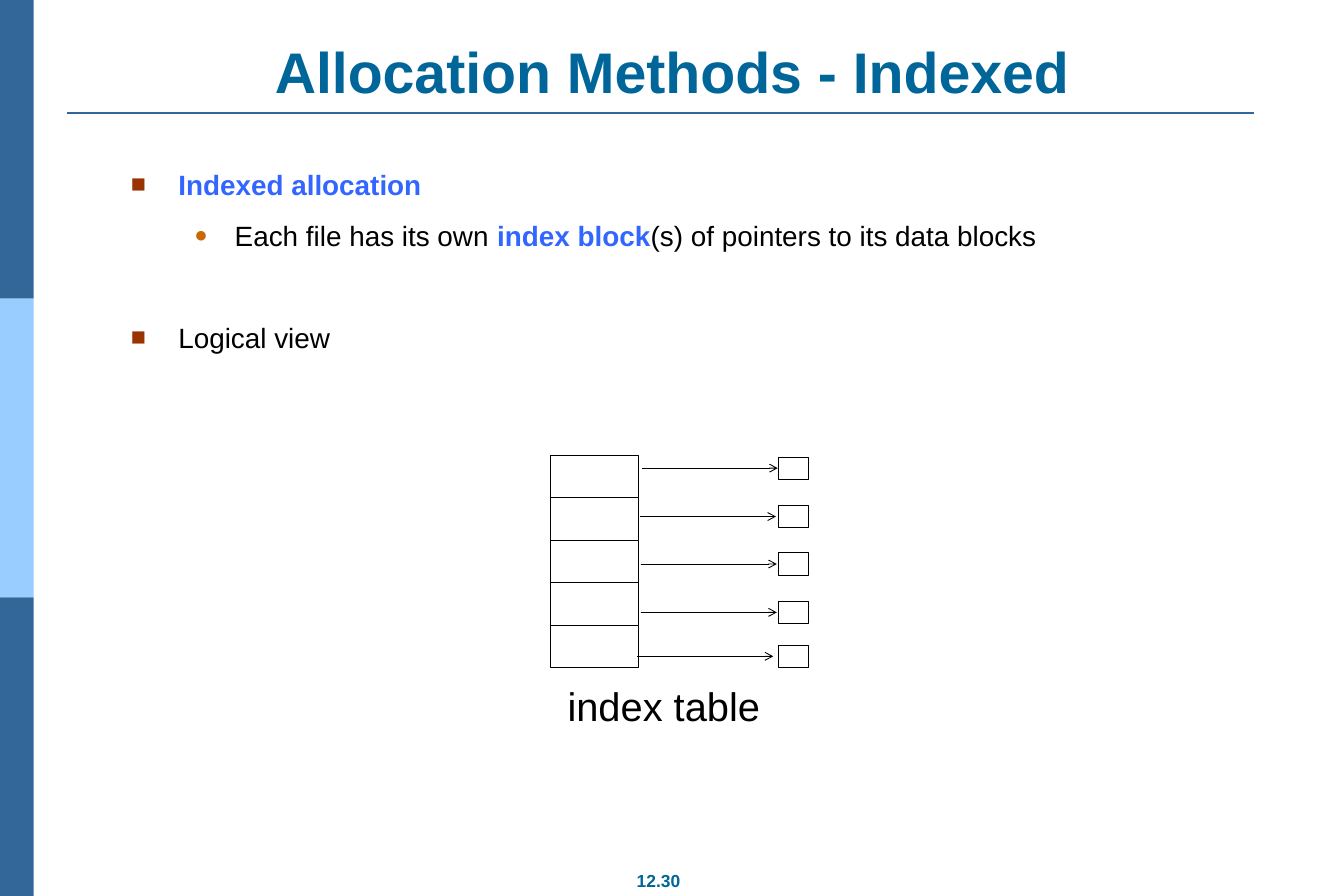
import pptx
import pptx.dml.color
import pptx.enum.shapes
import pptx.enum.text
import pptx.oxml
import pptx.oxml.ns
import pptx.util

RGBColor = pptx.dml.color.RGBColor
Inches = pptx.util.Inches
Pt = pptx.util.Pt
CENTER = pptx.enum.text.PP_ALIGN.CENTER
LEFT = pptx.enum.text.PP_ALIGN.LEFT
TOP = pptx.enum.text.MSO_ANCHOR.TOP
MIDDLE = pptx.enum.text.MSO_ANCHOR.MIDDLE
BOTTOM = pptx.enum.text.MSO_ANCHOR.BOTTOM

TEAL = RGBColor(0x00, 0x66, 0x99)
NAVY = RGBColor(0x33, 0x66, 0x99)
SKY = RGBColor(0x99, 0xCC, 0xFF)
TERM_BLUE = RGBColor(0x33, 0x66, 0xFF)
RUST = RGBColor(0x99, 0x33, 0x00)
ORANGE = RGBColor(0xCC, 0x66, 0x00)
BLACK = RGBColor(0x00, 0x00, 0x00)
WHITE = RGBColor(0xFF, 0xFF, 0xFF)

WIDTH, HEIGHT = 15, 10

deck = pptx.Presentation()
deck.slide_width, deck.slide_height = Inches(WIDTH), Inches(HEIGHT)
slide = deck.slides.add_slide(deck.slide_layouts[6])


def add_rect(left, top, width, height, fill, outlined=True):
    rect = slide.shapes.add_shape(
        pptx.enum.shapes.MSO_SHAPE.RECTANGLE,
        Inches(left), Inches(top), Inches(width), Inches(height))
    rect.shadow.inherit = False
    rect.fill.solid()
    rect.fill.fore_color.rgb = fill
    if outlined:
        rect.line.color.rgb = BLACK
        rect.line.width = Pt(0.75)
    else:
        rect.line.fill.background()


def write(text, paragraph, *, size, color=BLACK, bold=False, align=CENTER):
    """Append text to the paragraph as one formatted run."""
    paragraph.alignment = align
    run = paragraph.add_run()
    run.text = text
    run.font.name = "Arial"
    run.font.size = Pt(size)
    run.font.bold = bold
    run.font.color.rgb = color


# Side band in three equal parts
band_height = HEIGHT / 3
for part, color in enumerate((NAVY, SKY, NAVY)):
    add_rect(0, part * band_height, WIDTH / 40, band_height, color, outlined=False)

# Index table cells and the data blocks they point to
cell_left, cell_top, cell_width, cell_height = 6.14, 5.08, 0.99, 0.475
block_left, block_width, block_height = 8.69, 0.33, 0.25
block_tops = (5.1, 5.64, 6.17, 6.71, 7.2)
pointer_starts = (7.16, 7.14, 7.15, 7.15, 7.11)
pointer_length = 1.52

rules = [(WIDTH / 20, 14, 1.26, NAVY, 1.5, False)]
for row, (block_top, start) in enumerate(zip(block_tops, pointer_starts)):
    add_rect(cell_left, cell_top + row * cell_height, cell_width, cell_height, WHITE)
    add_rect(block_left, block_top, block_width, block_height, WHITE)
    rules.append((start, start + pointer_length, block_top + block_height / 2,
                  BLACK, 0.75, True))

# Title rule and pointers
for start, end, y, color, weight, is_pointer in rules:
    rule = slide.shapes.add_connector(
        pptx.enum.shapes.MSO_CONNECTOR.STRAIGHT,
        Inches(start), Inches(y), Inches(end), Inches(y))
    rule.line.color.rgb = color
    rule.line.width = Pt(weight)
    if is_pointer:
        head = pptx.oxml.parse_xml(
            f'<a:tailEnd {pptx.oxml.ns.nsdecls("a")} type="arrow"/>')
        rule.line._get_or_add_ln().append(head)
    rule._element.spPr.append(
        pptx.oxml.parse_xml(f'<a:effectLst {pptx.oxml.ns.nsdecls("a")}/>'))

# Text areas
frames = []
for left, top, width, height, anchor in (
    (0.75, 0.4, 13.5, 0.84, BOTTOM),
    (1.32, 1.8, 13.5, 2.1, TOP),
    (6.19, 7.54, 2.44, 0.68, MIDDLE),
    (6.6, 9.64, 1.5, 0.38, TOP),
):
    frame = slide.shapes.add_textbox(
        Inches(left), Inches(top), Inches(width), Inches(height)).text_frame
    frame.word_wrap = True
    frame.vertical_anchor = anchor
    frame.margin_left = frame.margin_right = Inches(0.14)
    frame.margin_top = frame.margin_bottom = Inches(0.07)
    frames.append(frame)
title, body, caption, page_number = frames

write("Allocation Methods - Indexed", title.paragraphs[0], size=46, color=TEAL, bold=True)
write("index table", caption.paragraphs[0], size=32)
write("12.30", page_number.paragraphs[0], size=14, color=TEAL, bold=True)

# Bullet styles: level, text indent, hanging indent, sign, colour, size in percent
main_point = (0, 0.53, 0.53, "■", RUST, 90)
sub_point = (1, 1.16, 0.45, "●", ORANGE, 80)
points = (
    (main_point, 0, (("Indexed allocation", True),)),
    (sub_point, 14, (("Each file has its own ", False), ("index block", True),
                     ("(s) of pointers to its data blocks", False))),
    (main_point, 55, (("Logical view", False),)),
)
for number, (style, space_before, phrases) in enumerate(points):
    level, indent, hanging, sign, color, percent = style
    point = body.add_paragraph() if number else body.paragraphs[0]
    point.level = level
    point.space_before = Pt(space_before)
    properties = point._p.get_or_add_pPr()
    properties.set("marL", str(Inches(indent)))
    properties.set("indent", str(-Inches(hanging)))
    for bullet in (
        f'<a:buClr {{}}><a:srgbClr val="{color}"/></a:buClr>',
        f'<a:buSzPct {{}} val="{percent * 1000}"/>',
        '<a:buFont {} typeface="Arial"/>',
        f'<a:buChar {{}} char="{sign}"/>',
    ):
        properties.append(pptx.oxml.parse_xml(bullet.format(pptx.oxml.ns.nsdecls("a"))))
    for phrase, is_term in phrases:
        write(phrase, point, size=22.4, bold=is_term, align=LEFT,
              color=TERM_BLUE if is_term else BLACK)

deck.save("out.pptx")
